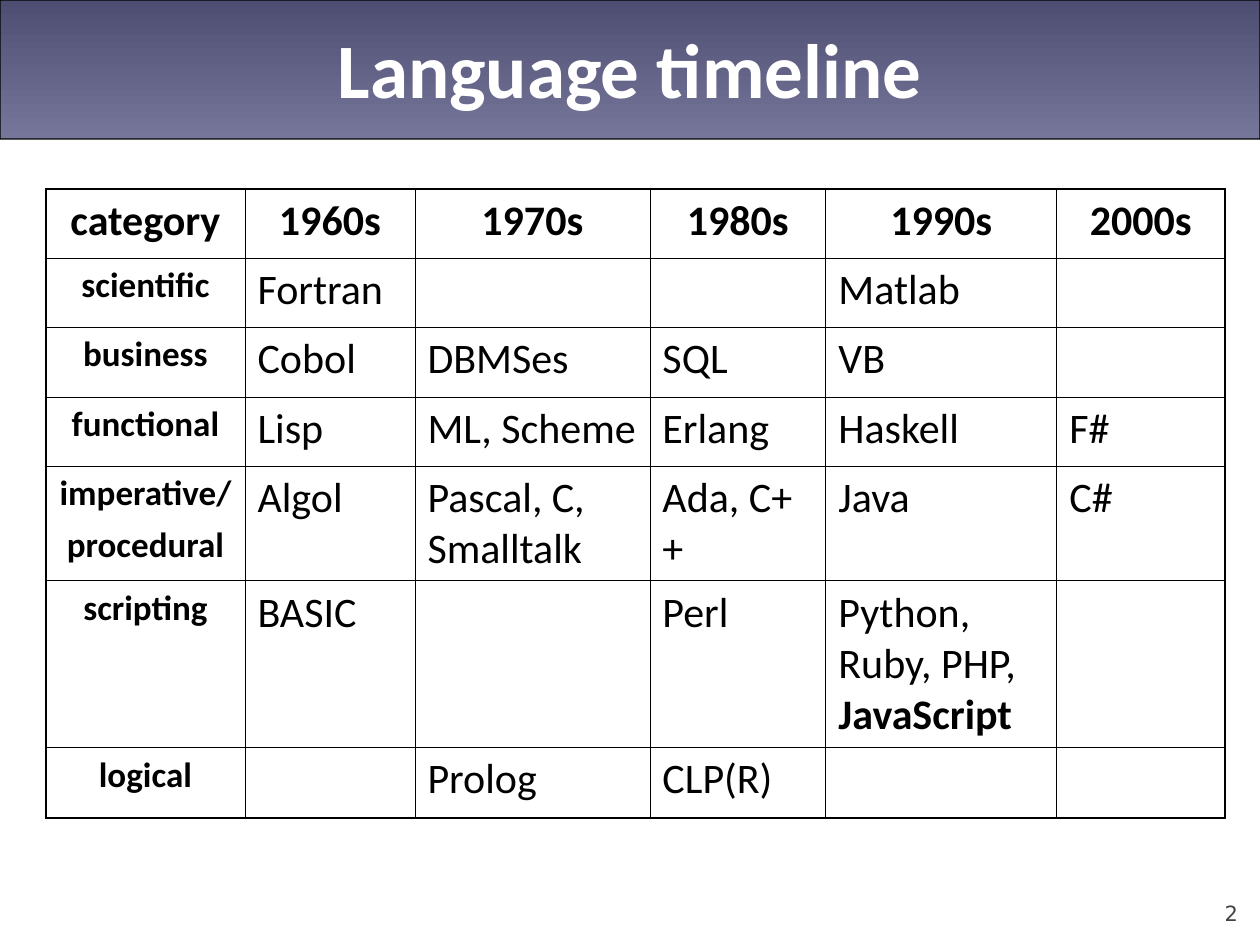
from dataclasses import dataclass

from lxml.etree import SubElement
from pptx import Presentation
from pptx.dml.color import RGBColor
from pptx.enum.shapes import MSO_SHAPE
from pptx.enum.text import MSO_ANCHOR, PP_ALIGN
from pptx.oxml.ns import qn
from pptx.util import Emu, Pt

# Content: a tuple in a cell holds paragraphs, "\n" breaks a line
TITLE = "Language timeline"
PAGE = "2"
HEAD = ["category", "1960s", "1970s", "1980s", "1990s", "2000s"]
ROWS = [
    ["scientific", "Fortran", "", "", "Matlab", ""],
    ["business", "Cobol", "DBMSes", "SQL", "VB", ""],
    ["functional", "Lisp", "ML, Scheme", "Erlang", "Haskell", "F#"],
    [("imperative/", "procedural"), "Algol", "Pascal, C,\nSmalltalk",
     "Ada, C++", "Java", "C#"],
    ["scripting", "BASIC", "", "Perl", "Python, Ruby, PHP, JavaScript", ""],
    ["logical", "", "Prolog", "CLP(R)", "", ""],
]
STRONG = "JavaScript"

# Places in px
SLIDE = (1260, 945)
BAND = (0, 0, 1260, 139)
NAME = (21, 0, 1218, 136)
NUM = (1134, 876, 104, 50)
ORIGIN = (46, 189)
WIDTHS = [199, 170, 235, 176, 231, 168]
HEIGHTS = [69, 69, 70, 69, 115, 167, 70]


@dataclass(frozen=True)
class Theme:
    font: str = "Calibri"
    plain: str = "DejaVu Sans"
    ink: str = "000000"
    white: str = "FFFFFF"
    grey: str = "424242"
    dark: str = "4E4E72"
    light: str = "76769A"
    title: int = 44
    body: int = 24
    label: int = 20
    page: int = 12
    edge: float = 0.75
    outer: float = 1.08
    inner: float = 0.45


T = Theme()


def px(n):
    return Emu(round(n * 914400 / 126))


def rgb(code):
    return RGBColor.from_string(code)


def style(para, size, color, bold=False, align=PP_ALIGN.LEFT, gap=0, face=T.font):
    para.alignment = align
    para.space_before = Pt(gap)
    font = para.font
    font.name, font.size, font.bold = face, Pt(size), bold
    font.color.rgb = rgb(color)


def label(slide, box, text, anchor, **look):
    frame = slide.shapes.add_textbox(*map(px, box)).text_frame
    frame.word_wrap = True
    frame.vertical_anchor = anchor
    para = frame.paragraphs[0]
    para.text = text
    style(para, **look)
    return frame


def border(cell, sides):
    props = cell._tc.get_or_add_tcPr()
    for side, width in sides.items():
        line = SubElement(props, qn(f"a:ln{side}"), w=str(Pt(width)))
        fill = SubElement(line, qn("a:solidFill"))
        SubElement(fill, qn("a:srgbClr"), val=T.ink)


def write(cell, text, **look):
    frame = cell.text_frame
    parts = text if isinstance(text, tuple) else (text,)
    for i, part in enumerate(parts):
        para = frame.add_paragraph() if i else frame.paragraphs[0]
        start, strong, _ = part.partition(STRONG)
        para.text = start
        if strong:
            run = para.add_run()
            run.text = strong
            run.font.bold = True
        style(para, color=T.ink, **look)


def header(slide):
    band = slide.shapes.add_shape(MSO_SHAPE.ROUNDED_RECTANGLE, *map(px, BAND))
    band.adjustments[0] = 0.001
    band.shadow.inherit = False
    band.fill.gradient()
    band.fill.gradient_angle = 270
    for stop, code in zip(band.fill.gradient_stops, (T.dark, T.light)):
        stop.color.rgb = rgb(code)
    band.line.color.rgb = rgb(T.ink)
    band.line.width = Pt(T.edge)
    label(slide, NAME, TITLE, MSO_ANCHOR.MIDDLE, size=T.title,
          color=T.white, bold=True, align=PP_ALIGN.CENTER)


def grid(slide):
    data = [HEAD] + ROWS
    size = (sum(WIDTHS), sum(HEIGHTS))
    table = slide.shapes.add_table(
        len(data), len(HEAD), *map(px, ORIGIN + size)).table
    table.first_row = table.horz_banding = False
    for col, width in zip(table.columns, WIDTHS):
        col.width = px(width)
    for row, height in zip(table.rows, HEIGHTS):
        row.height = px(height)
    for r, row in enumerate(data):
        for c, text in enumerate(row):
            cell = table.cell(r, c)
            ends = {"L": c == 0, "R": c == len(HEAD) - 1,
                    "T": r == 0, "B": r == len(data) - 1}
            border(cell, {side: T.outer if end else T.inner
                          for side, end in ends.items()})
            cell.fill.background()
            if text:
                key = r == 0 or c == 0
                small = c == 0 and r > 0
                write(cell, text, size=T.label if small else T.body, bold=key,
                      align=PP_ALIGN.CENTER if key else PP_ALIGN.LEFT,
                      gap=5 if small else 6)


def footer(slide):
    frame = label(slide, NUM, PAGE, MSO_ANCHOR.BOTTOM, size=T.page,
                  color=T.grey, align=PP_ALIGN.RIGHT, gap=5, face=T.plain)
    frame.margin_left = frame.margin_right = 0
    frame.margin_top = frame.margin_bottom = 0


def main():
    deck = Presentation()
    deck.slide_width, deck.slide_height = map(px, SLIDE)
    slide = deck.slides.add_slide(deck.slide_layouts[6])
    header(slide)
    grid(slide)
    footer(slide)
    deck.save("out.pptx")


if __name__ == "__main__":
    main()
